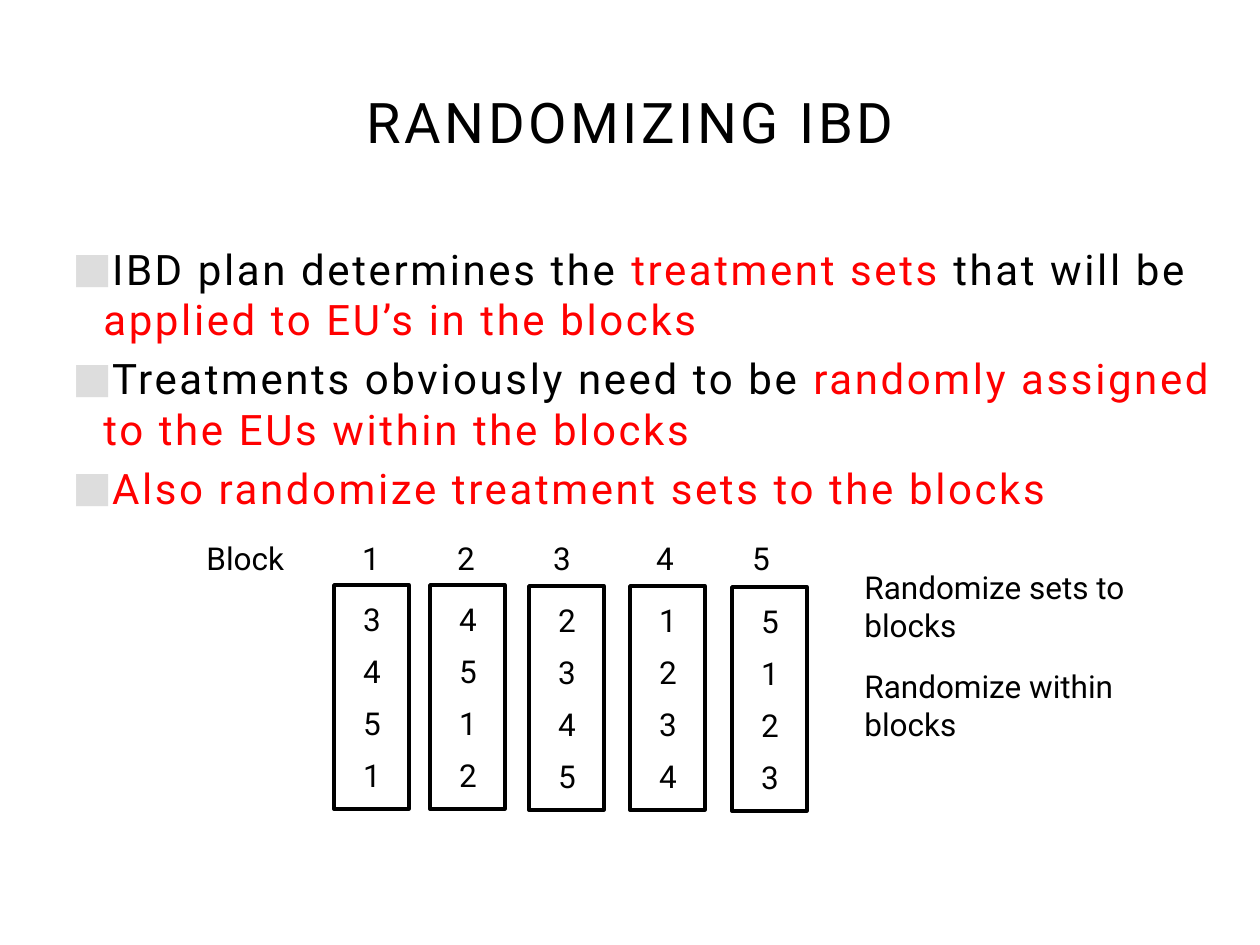
"""Build the slide on randomizing an incomplete block design."""
from lxml.etree import SubElement
from pptx import Presentation
from pptx.dml.color import RGBColor
from pptx.enum.shapes import MSO_SHAPE
from pptx.enum.text import MSO_ANCHOR, PP_ALIGN
from pptx.oxml.ns import qn
from pptx.util import Pt

PX = 914400 // 126
BLACK = RGBColor(0x00, 0x00, 0x00)
RED = RGBColor(0xFF, 0x00, 0x00)
BULLET_GRAY = RGBColor(0xDD, 0xDD, 0xDD)
FONT = "Roboto"

TITLE = "RANDOMIZING IBD"
POINTS = [
    [("IBD plan determines the ", BLACK), ("treatment sets ", RED),
     ("that will be ", BLACK), ("applied to EU’s in the blocks", RED)],
    [("Treatments obviously need to be ", BLACK),
     ("randomly assigned to the EUs within the blocks", RED)],
    [("Also randomize treatment sets to the blocks", RED)],
]
BLOCKS = [
    {"label": "1", "label_center": 371, "left": 334, "top": 585, "set": "3451"},
    {"label": "2", "label_center": 466, "left": 430, "top": 585, "set": "4512"},
    {"label": "3", "label_center": 562, "left": 529, "top": 586, "set": "2345"},
    {"label": "4", "label_center": 665, "left": 630, "top": 586, "set": "1234"},
    {"label": "5", "label_center": 761, "left": 732, "top": 587, "set": "5123"},
]
NOTES = [("Randomize sets to blocks", 562), ("Randomize within blocks", 661)]

BLOCK_WIDTH, BLOCK_HEIGHT = 75, 224
DIGIT_WIDTH, LINE_HEIGHT = 44, 50
FIRST_ROW, ROW_STEP = 9, 52
LABEL_TOP = 533


def add_text(slide, box, runs, size, align=PP_ALIGN.LEFT, spacing=0):
    frame = slide.shapes.add_textbox(*(n * PX for n in box)).text_frame
    frame.word_wrap = True
    for index, parts in enumerate(runs):
        paragraph = frame.paragraphs[0] if index == 0 else frame.add_paragraph()
        paragraph.alignment = align
        paragraph.font.name = FONT
        paragraph.font.size = Pt(size)
        for words, color in parts:
            run = paragraph.add_run()
            run.text = words
            run.font.color.rgb = color
            if spacing:
                run.font._element.set("spc", str(int(spacing * 100)))
    return frame


def add_bullet(paragraph):
    paragraph.space_before = Pt(5)
    properties = paragraph._p.get_or_add_pPr()
    properties.set("marL", str(38 * PX))
    properties.set("indent", str(-31 * PX))
    color = SubElement(properties, qn("a:buClr"))
    SubElement(color, qn("a:srgbClr")).set("val", str(BULLET_GRAY))
    SubElement(properties, qn("a:buFont")).set("typeface", FONT)
    SubElement(properties, qn("a:buChar")).set("char", "■")


def add_digit(slide, center, top, digit):
    box = (center - DIGIT_WIDTH // 2, top, DIGIT_WIDTH, LINE_HEIGHT)
    add_text(slide, box, [[(digit, BLACK)]], 18, PP_ALIGN.CENTER)


def add_block(slide, block):
    left, top = block["left"], block["top"]
    outline = slide.shapes.add_shape(
        MSO_SHAPE.RECTANGLE, left * PX, top * PX, BLOCK_WIDTH * PX, BLOCK_HEIGHT * PX)
    outline.shadow.inherit = False
    outline.fill.background()
    outline.line.color.rgb = BLACK
    outline.line.width = Pt(2)
    add_digit(slide, block["label_center"], LABEL_TOP, block["label"])
    for row, treatment in enumerate(block["set"]):
        add_digit(slide, left + BLOCK_WIDTH // 2 + 1,
                  top + FIRST_ROW + row * ROW_STEP, treatment)


def main():
    deck = Presentation()
    deck.slide_width, deck.slide_height = 1260 * PX, 945 * PX
    slide = deck.slides.add_slide(deck.slide_layouts[6])

    points = add_text(slide, (53, 237, 1181, 683), POINTS, 24, spacing=1.5)
    for paragraph in points.paragraphs:
        add_bullet(paragraph)
    title = add_text(slide, (53, 49, 1155, 145), [[(TITLE, BLACK)]], 32,
                     PP_ALIGN.CENTER, spacing=2)
    title.vertical_anchor = MSO_ANCHOR.MIDDLE

    add_text(slide, (194, LABEL_TOP, 130, LINE_HEIGHT), [[("Block", BLACK)]], 18)
    for block in BLOCKS:
        add_block(slide, block)
    for note, top in NOTES:
        add_text(slide, (852, top, 360, 88), [[(note, BLACK)]], 18)

    deck.save("out.pptx")


if __name__ == "__main__":
    main()
